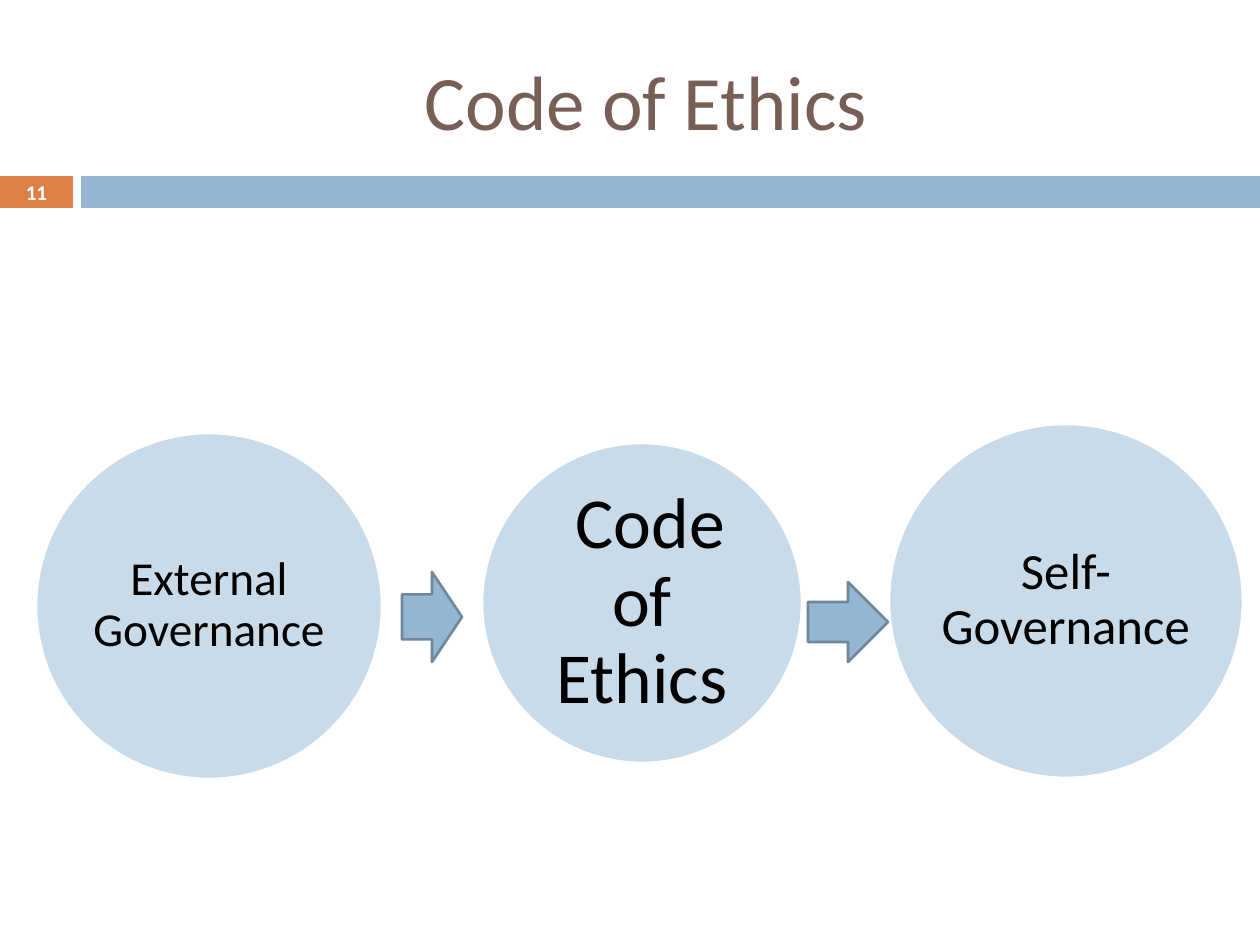
import lxml.etree
import pptx
import pptx.dml.color
import pptx.enum.shapes
import pptx.enum.text
import pptx.oxml.ns
import pptx.util

THEME = {
    "font": "Calibri",
    "title": "775F55", "orange": "DD8047", "blue": "94B6D2",
    "arrow_line": "6D879B", "white": "FFFFFF", "black": "000000",
    "title_size": 44, "number_size": 12,
}
EMU_PER_PIXEL = 9144000 / 1260
SHAPES = pptx.enum.shapes.MSO_SHAPE


def add_shape(kind, box, fill, line=None):
    shape = slide.shapes.add_shape(kind, *[round(v * EMU_PER_PIXEL) for v in box])
    shape.shadow.inherit = False
    shape.fill.solid()
    shape.fill.fore_color.rgb = pptx.dml.color.RGBColor.from_string(THEME[fill])
    if line:
        shape.line.color.rgb = pptx.dml.color.RGBColor.from_string(THEME[line])
        shape.line.width = pptx.util.Pt(1.5)
    else:
        shape.line.fill.background()
    return shape


def set_text(shape, text, size, color, inset=0):
    frame = shape.text_frame
    frame.text = text
    frame.word_wrap = True
    frame.auto_size = pptx.enum.text.MSO_AUTO_SIZE.NONE
    frame.vertical_anchor = pptx.enum.text.MSO_ANCHOR.MIDDLE
    frame.margin_left = frame.margin_right = round(inset * EMU_PER_PIXEL)
    frame.margin_top = frame.margin_bottom = round(inset * EMU_PER_PIXEL)
    paragraph = frame.paragraphs[0]
    paragraph.alignment = pptx.enum.text.PP_ALIGN.CENTER
    paragraph.font.name = THEME["font"]
    paragraph.font.size = pptx.util.Pt(size)
    paragraph.font.color.rgb = pptx.dml.color.RGBColor.from_string(THEME[color])
    return paragraph


presentation = pptx.Presentation()
presentation.slide_width = round(1260 * EMU_PER_PIXEL)
presentation.slide_height = round(945 * EMU_PER_PIXEL)
slide = presentation.slides.add_slide(presentation.slide_layouts[5])

# Title
title = slide.shapes.title
title.left, title.top, title.width, title.height = [
    round(v * EMU_PER_PIXEL) for v in (84, 32, 1124, 136)]
set_text(title, "Code of Ethics", THEME["title_size"], "title")

# Band with slide number
number_box = add_shape(SHAPES.RECTANGLE, (0, 176, 73, 32), "orange")
set_text(number_box, "11", THEME["number_size"], "white").font.bold = True
add_shape(SHAPES.RECTANGLE, (81, 176, 1179, 32), "blue")

# Half-transparent circles: left, top, diameter, text, type size, inset
for left, top, diameter, text, size, inset in [
    (36, 433, 346, "External Governance", 27, 5),
    (889, 424, 354, "Self-Governance", 29, 0),
    (482, 443, 320, " Code of Ethics", 41, 8),
]:
    circle = add_shape(SHAPES.OVAL, (left, top, diameter, diameter), "blue", "white")
    color = circle.fill._xPr.find(".//" + pptx.oxml.ns.qn("a:srgbClr"))
    lxml.etree.SubElement(color, pptx.oxml.ns.qn("a:alpha"), val="50000")
    set_text(circle, text, size, "black", inset).line_spacing = 0.9

# Arrows between the circles
for box in [(808, 582, 80, 80), (402, 572, 60, 90)]:
    add_shape(SHAPES.RIGHT_ARROW, box, "blue", "arrow_line")

presentation.save("out.pptx")
